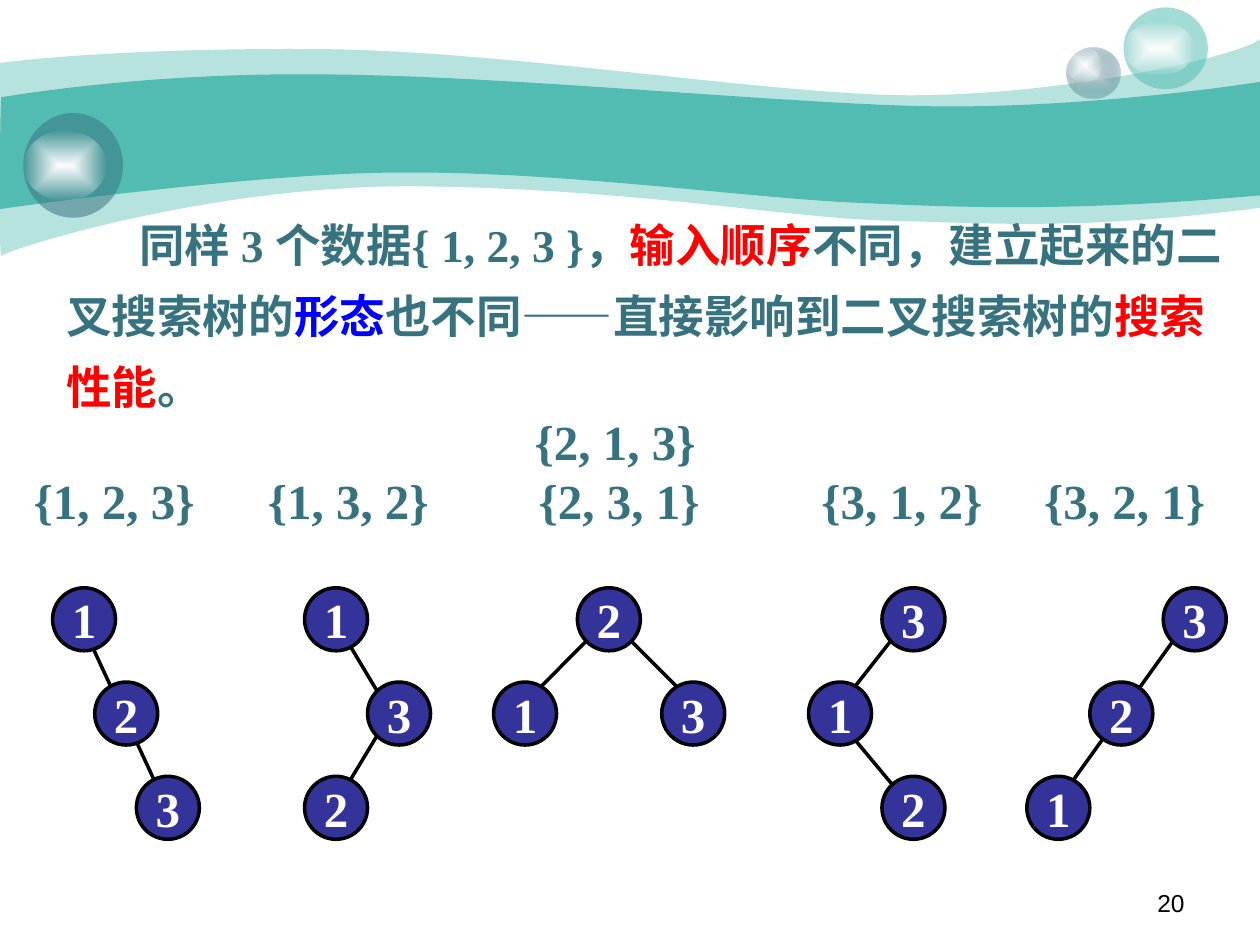
import pptx
import pptx.dml.color
import pptx.enum.shapes
import pptx.enum.text
import pptx.oxml
import pptx.oxml.ns
import pptx.util
from collections import namedtuple
from dataclasses import dataclass

Cm = pptx.util.Cm
Pt = pptx.util.Pt
Align = pptx.enum.text.PP_ALIGN
Box = namedtuple("Box", "left top width height")
OVAL = pptx.enum.shapes.MSO_SHAPE.OVAL
STRAIGHT = pptx.enum.shapes.MSO_CONNECTOR.STRAIGHT
NAMESPACE = pptx.oxml.ns.nsdecls("a")


@dataclass(frozen=True)
class Theme:
    teal: str = "52BCB2"
    slate: str = "37737F"
    mist: str = "CCDBDE"
    node: str = "333399"
    white: str = "FFFFFF"
    black: str = "000000"
    red: str = "FF0000"
    blue: str = "0000FF"
    serif: str = "Times New Roman"
    sans: str = "Arial"
    label_size: int = 28
    body_size: int = 26
    number_size: int = 14
    line_width: int = 2


THEME = Theme()
NODE_SIZE = 1.27
LEVEL_STEP = 1.9

LIGHT_WAVE = (
    [(0, 1.27), (0.61, 1.19), (2.72, 0.97), (6.27, 0.99), (9.8, 0.99),
     (14.61, 1.78), (17.75, 1.91), (20.88, 2.03), (24.89, 1.19), (25.4, 0.79)],
    [(25.4, 4.19), (21.79, 4.65), (19.99, 4.5), (17.91, 4.45), (15.8, 4.39),
     (13.08, 3.84), (8.71, 3.76), (4.37, 3.66), (0.1, 5.05), (0.03, 5.16),
     (-0.03, 5.28), (0, 1.91), (0, 1.27)],
)
DARK_WAVE = (
    [(0.03, 1.96), (0.05, 1.96), (2.79, 1.47), (6.3, 1.5), (9.8, 1.5),
     (15.11, 2.03), (18.24, 2.13), (21.36, 2.24), (24.79, 1.75), (25.4, 1.65)],
    [(25.4, 3.94), (21.67, 4.27), (19.43, 4.19), (17.32, 4.09), (15.21, 4.01),
     (11.35, 3.45), (8.05, 3.48), (5.16, 3.48), (-0.05, 4.22), (-0.03, 4.22),
     (0, 4.22), (0, 1.96), (0.03, 1.96)],
)

TREES = [
    (1.06, [(0.84, 1.27, 2.11, 4.01)],
     [("1", 0, 0), ("2", 0.85, 1), ("3", 1.69, 2)]),
    (6.14, [(0.84, 4.01, 1.48, 2.95), (0.84, 1.04, 1.48, 2.11)],
     [("1", 0, 0), ("3", 1.27, 1), ("2", 0, 2)]),
    (9.95, [(2.74, 1.04, 3.81, 2.11), (1.9, 1.04, 0.84, 2.11)],
     [("1", 0, 1), ("2", 1.69, 0), ("3", 3.39, 1)]),
    (16.3, [(0.84, 2.95, 1.9, 4.22), (1.68, 1.04, 0.84, 2.11)],
     [("1", 0, 1), ("2", 1.48, 2), ("3", 1.48, 0)]),
    (20.7, [(2.97, 1.04, 0.84, 4.01)],
     [("1", 0, 2), ("2", 1.27, 1), ("3", 2.75, 0)]),
]


def rgb(color):
    return pptx.dml.color.RGBColor.from_string(color)


def color_xml(color, opacity):
    return f'<a:srgbClr val="{color}"><a:alpha val="{opacity * 1000}"/></a:srgbClr>'


def set_fill(shape, *stops):
    shape.shadow.inherit = False
    shape.line.fill.background()
    shape.fill.background()
    if len(stops) == 1:
        xml = f"<a:solidFill {NAMESPACE}>{color_xml(*stops[0])}</a:solidFill>"
    else:
        inner, outer = (color_xml(*stop) for stop in stops)
        xml = (f'<a:gradFill {NAMESPACE}><a:gsLst><a:gs pos="0">{inner}</a:gs>'
               f'<a:gs pos="100000">{outer}</a:gs></a:gsLst><a:path path="rect">'
               '<a:fillToRect l="50000" t="50000" r="50000" b="50000"/></a:path></a:gradFill>')
    properties = shape.element.spPr
    empty_fill = properties.find(pptx.oxml.ns.qn("a:noFill"))
    properties.replace(empty_fill, pptx.oxml.parse_xml(xml))


def format_span(span, size, color, font=THEME.serif, bold=True):
    span.font.name = font
    span.font.size = Pt(size)
    span.font.bold = bold
    span.font.color.rgb = rgb(color)


def add_text_frame(page, box):
    frame = page.shapes.add_textbox(*map(Cm, box)).text_frame
    frame.word_wrap = True
    return frame


def bend_segments(segments):
    for first, second, third in zip(*[iter(segments)] * 3):
        curve = pptx.oxml.parse_xml(f"<a:cubicBezTo {NAMESPACE}/>")
        first.addprevious(curve)
        for segment in (first, second, third):
            curve.append(segment[0])
            segment.getparent().remove(segment)


def add_wave(page, box, edges, opacity):
    upper, lower = edges
    outline = [(Cm(box.left + x), Cm(box.top + y)) for x, y in upper + lower]
    builder = page.shapes.build_freeform(*outline[0])
    builder.add_line_segments(outline[1:], close=True)
    wave = builder.convert_to_shape()
    segments = list(wave.element.iter(pptx.oxml.ns.qn("a:lnTo")))
    bend_segments(segments[:len(upper) - 1])
    bend_segments(segments[len(upper):])
    set_fill(wave, (THEME.teal, opacity))


def add_bubble(page, box, highlight, *stops):
    group = page.shapes.add_group_shape()
    ball = group.shapes.add_shape(OVAL, *map(Cm, box))
    set_fill(ball, *stops)
    drop, width, height = highlight
    shine = group.shapes.add_shape(
        OVAL, Cm(box.left), Cm(box.top + drop), Cm(width), Cm(height))
    set_fill(shine, (THEME.white, 100), (THEME.white, 0))


def add_banner(page, box):
    add_wave(page, box, LIGHT_WAVE, 41)
    add_wave(page, box, DARK_WAVE, 100)
    add_bubble(page, Box(box.left + 21.51, box.top + 0.97, 1.07, 1.02), (0, 0.71, 0.69),
               (THEME.mist, 100), (THEME.slate, 31))
    add_bubble(page, Box(box.left + 22.65, box.top + 0.15, 1.7, 1.65), (0.28, 1.42, 1.09),
               (THEME.teal, 53))
    add_bubble(page, Box(box.left + 0.47, box.top + 2.28, 2.01, 2.11), (0.35, 1.68, 1.42),
               (THEME.slate, 53))


def add_page_number(page, box):
    para = add_text_frame(page, box).paragraphs[0]
    para.text = "20"
    para.alignment = Align.RIGHT
    format_span(para.runs[0], THEME.number_size, THEME.black, THEME.sans, False)


def add_sequences(page, box):
    frame = add_text_frame(page, box)
    frame.text = "{2, 1, 3}\n{1, 2, 3}\t{1, 3, 2}\t{2, 3, 1}\t{3, 1, 2}\t{3, 2, 1}"
    upper, lower = frame.paragraphs
    upper.line_spacing = 1.2
    upper._p.get_or_add_pPr().set("marL", str(Cm(10.1)))
    tabs = "".join(f'<a:tab pos="{Cm(stop)}" algn="l"/>' for stop in (4.72, 10.18, 15.88, 20.37))
    lower._p.get_or_add_pPr().append(
        pptx.oxml.parse_xml(f"<a:tabLst {NAMESPACE}>{tabs}</a:tabLst>"))
    for para in frame.paragraphs:
        format_span(para.runs[0], THEME.label_size, THEME.slate)


def add_tree(page, box, edges, nodes):
    group = page.shapes.add_group_shape()
    for x1, y1, x2, y2 in edges:
        edge = group.shapes.add_connector(
            STRAIGHT, Cm(box.left + x1), Cm(box.top + y1), Cm(box.left + x2), Cm(box.top + y2))
        edge.line.color.rgb = rgb(THEME.black)
        edge.line.width = Pt(THEME.line_width)
        edge.element.spPr.append(pptx.oxml.parse_xml(f"<a:effectLst {NAMESPACE}/>"))
    for key, x, level in nodes:
        node = group.shapes.add_shape(OVAL, Cm(box.left + x), Cm(box.top + level * LEVEL_STEP),
                                      Cm(NODE_SIZE), Cm(NODE_SIZE))
        node.shadow.inherit = False
        node.fill.solid()
        node.fill.fore_color.rgb = rgb(THEME.node)
        node.line.color.rgb = rgb(THEME.black)
        node.line.width = Pt(THEME.line_width)
        frame = node.text_frame
        frame.text = key
        frame.word_wrap = False
        frame.vertical_anchor = pptx.enum.text.MSO_ANCHOR.MIDDLE
        frame.paragraphs[0].alignment = Align.CENTER
        format_span(frame.paragraphs[0].runs[0], THEME.label_size, THEME.white)


def add_statement(page, box):
    para = add_text_frame(page, box).paragraphs[0]
    para.line_spacing = 1.3
    para._p.get_or_add_pPr().set("indent", str(Cm(1.47)))
    for words, color in (
        ("同样 3 个数据{ 1, 2, 3 }，", THEME.slate),
        ("输入顺序", THEME.red),
        ("不同，建立起来的二叉搜索树的", THEME.slate),
        ("形态", THEME.blue),
        ("也不同——直接影响到二叉搜索树的", THEME.slate),
        ("搜索性能", THEME.red),
        ("。", THEME.slate),
    ):
        span = para.add_run()
        span.text = words
        format_span(span, THEME.body_size, color)


def main():
    deck = pptx.Presentation()
    deck.slide_width, deck.slide_height = Cm(25.4), Cm(19.05)
    page = deck.slides.add_slide(deck.slide_layouts[6])
    add_banner(page, Box(0, 0, 25.4, 5.28))
    add_page_number(page, Box(18.21, 17.78, 5.92, 0.89))
    add_sequences(page, Box(0.43, 7.94, 24.97, 2.87))
    for left, edges, nodes in TREES:
        add_tree(page, Box(left, 11.85, 4.66, 5.07), edges, nodes)
    add_statement(page, Box(1.09, 3.93, 24, 4.55))
    deck.save("out.pptx")


if __name__ == "__main__":
    main()
